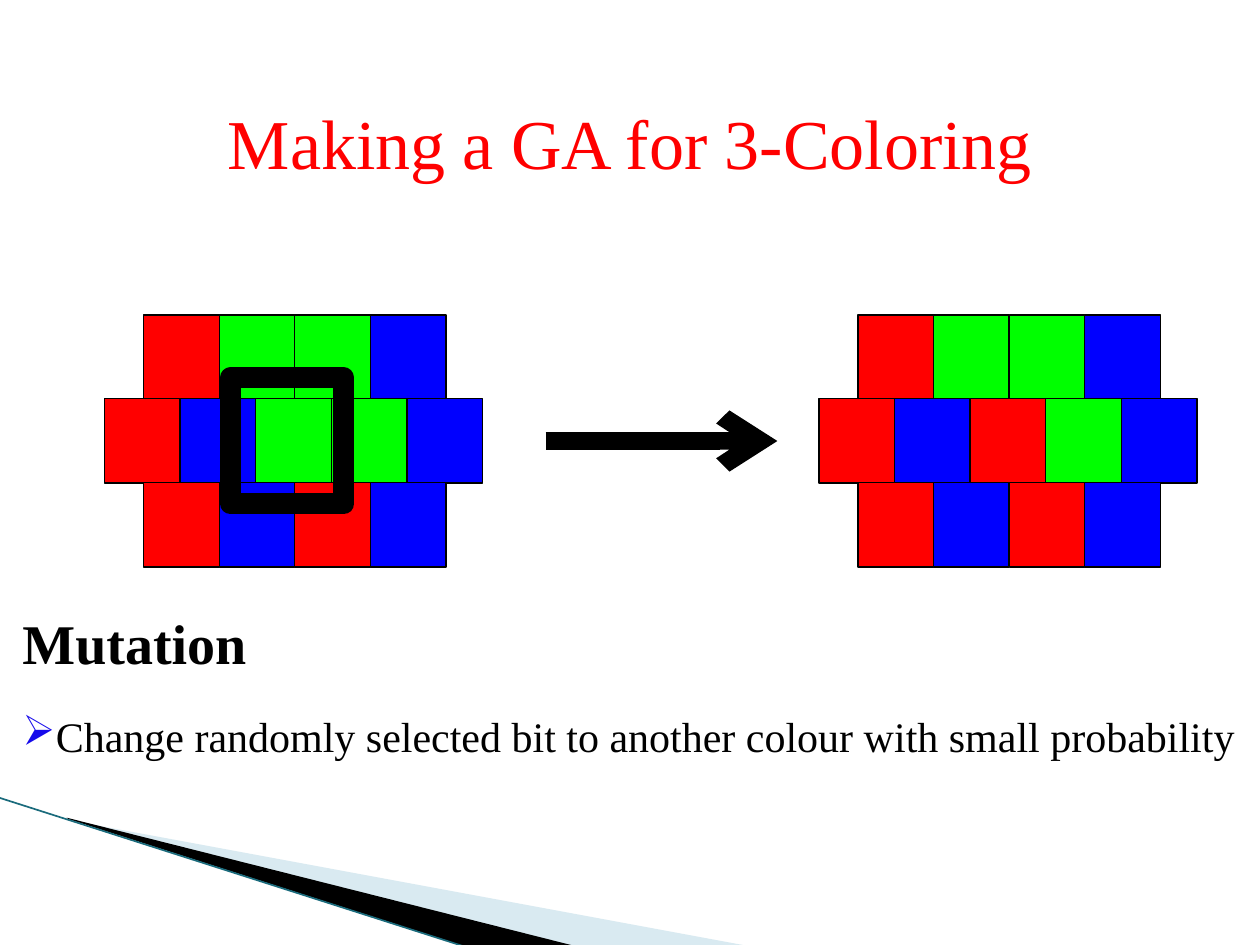
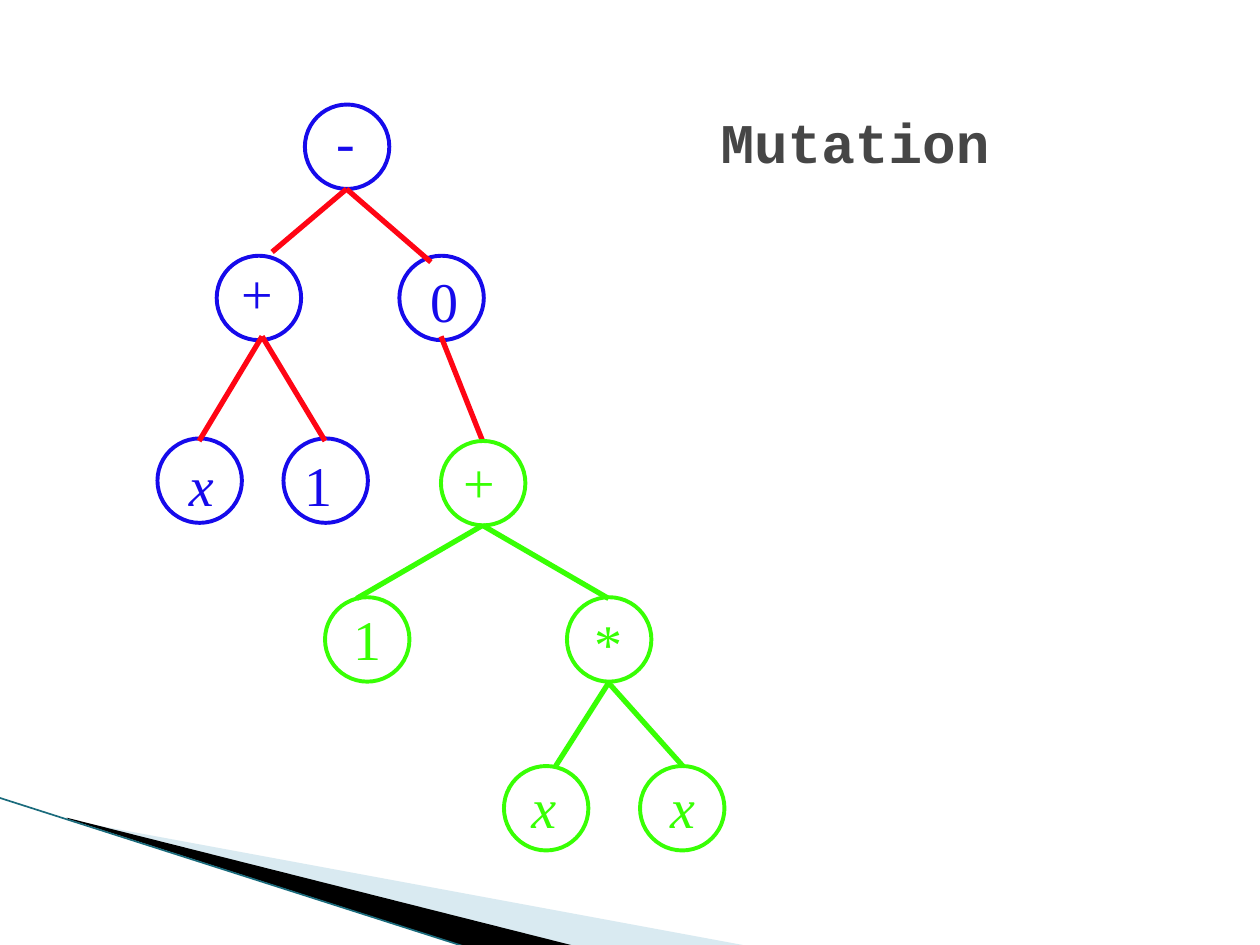
import pptx
import pptx.util
import pptx.dml.color
import pptx.enum.shapes
import pptx.enum.text
import pptx.oxml
import pptx.oxml.ns

Inches = pptx.util.Inches
Pt = pptx.util.Pt
SHAPE = pptx.enum.shapes.MSO_SHAPE
ANCHOR = pptx.enum.text.MSO_ANCHOR
ALIGN = pptx.enum.text.PP_ALIGN

SERIF, MONO = "Times New Roman", "Courier New"
BLACK, GREY, TITLE_RED = "000000", "464646", "FF0000"
PALE_BLUE, TEAL = "A0CBDC", "1A6B7C"
NODE_BLUE, NODE_GREEN, BRANCH_RED = "160AEB", "38FF04", "FF0514"
CELL_COLOURS = {"R": "FF0000", "G": "00FF00", "B": "0000FF"}

CELL_WIDTH, CELL_HEIGHT, ROW_PITCH = 0.6, 0.67, 0.665
ROW_INSET = 0.31
NODE_SIZE = 0.67
LABEL_WIDTHS = {"-": 0.35, "+": 0.45, "x": 0.4}  # digits and * take 0.42


def colour(value):
    return pptx.dml.color.RGBColor.from_string(value)


def add_xml(parent, tag, inner="", **attributes):
    listed = " ".join(f'{name}="{value}"' for name, value in attributes.items())
    space = pptx.oxml.ns.nsdecls("a")
    parent.append(pptx.oxml.parse_xml(
        f"<a:{tag} {space} {listed}>{inner}</a:{tag}>"))


def paint(shape, fill=None, line=None, weight=0.75):
    shape.shadow.inherit = False
    if fill:
        shape.fill.solid()
        shape.fill.fore_color.rgb = colour(fill)
    else:
        shape.fill.background()
    if line:
        shape.line.color.rgb = colour(line)
        shape.line.width = Pt(weight)
    else:
        shape.line.fill.background()


def add_preset(shapes, kind, left, top, width, height, **style):
    shape = shapes.add_shape(kind, Inches(left), Inches(top),
                             Inches(width), Inches(height))
    paint(shape, **style)


def add_polygon(shapes, points, fill):
    corners = [(Inches(x), Inches(y)) for x, y in points]
    builder = shapes.build_freeform(*corners[0])
    builder.add_line_segments(corners[1:])
    shape = builder.convert_to_shape()
    paint(shape, fill)
    return shape


def add_line(shapes, start, end, line, weight):
    connector = shapes.add_connector(
        pptx.enum.shapes.MSO_CONNECTOR.STRAIGHT,
        *(Inches(value) for value in (*start, *end)))
    connector.line.color.rgb = colour(line)
    connector.line.width = Pt(weight)
    add_xml(connector._element.spPr, "effectLst")
    return connector


def add_box(shapes, left, top, width, height, anchor=ANCHOR.TOP, wrap=True):
    box = shapes.add_textbox(Inches(left), Inches(top),
                             Inches(width), Inches(height))
    box.text_frame.word_wrap = wrap
    box.text_frame.vertical_anchor = anchor
    return box.text_frame


def write(para, text, rgb, **format_values):
    span = para.add_run()
    span.text = text
    for name, value in ({"name": SERIF, "size": Pt(32)} | format_values).items():
        setattr(span.font, name, value)
    span.font.color.rgb = colour(rgb)


def add_page(deck):
    """Blank page with the swoosh at the lower left."""
    page = deck.slides.add_slide(deck.slide_layouts[6])
    band = add_polygon(page.shapes, [(0.55, 6.51), (5.95, 7.51), (4.56, 7.51),
                                     (0.55, 6.5)], PALE_BLUE)
    shade = band._element.spPr.find(".//" + pptx.oxml.ns.qn("a:srgbClr"))
    add_xml(shade, "alpha", val=40000)
    add_polygon(page.shapes, [(0.53, 6.49), (4.57, 7.51), (3.72, 7.52),
                              (0.54, 6.5)], BLACK)
    add_line(page.shapes, (-0.01, 6.33), (3.71, 7.52), TEAL, 0.95)
    return page.shapes


def add_colouring(shapes, left, top, rows):
    """Brick pattern of coloured cells; the shorter rows are inset."""
    group = shapes.add_group_shape().shapes
    longest = max(map(len, rows))
    for row, letters in enumerate(rows):
        inset = ROW_INSET if len(letters) < longest else 0
        for column, letter in enumerate(letters):
            add_preset(group, SHAPE.RECTANGLE, left + inset + column * CELL_WIDTH,
                       top + row * ROW_PITCH, CELL_WIDTH, CELL_HEIGHT,
                       fill=CELL_COLOURS[letter], line=BLACK)
    return group


def add_tree(shapes, nodes, branches, node_colour, branch_colour):
    """Nodes are (label, circle corner, label corner)."""
    group = shapes.add_group_shape().shapes
    for label, circle, corner in nodes:
        frame = add_box(group, *corner, LABEL_WIDTHS.get(label, 0.42), 0.64,
                        wrap=False)
        write(frame.paragraphs[0], label, node_colour, italic=label == "x")
        add_preset(group, SHAPE.OVAL, *circle, NODE_SIZE, NODE_SIZE,
                   line=node_colour, weight=2.25)
    for start, *ends in branches:
        for end in ends:
            add_line(group, start, end, branch_colour, 3)


def build_colouring_page(deck):
    shapes = add_page(deck)

    # Colouring before and after the mutation
    add_colouring(shapes, 6.5, 2.5, ["RGGB", "RBRGB", "RBRB"])
    arrow = add_line(shapes, (4.33, 3.5), (6.17, 3.5), BLACK, 10)
    add_xml(arrow.line._get_or_add_ln(), "tailEnd", type="arrow")
    before = add_colouring(shapes, 0.83, 2.5, ["RGGB", "RBGGB", "RBRB"])
    add_preset(before, SHAPE.RECTANGLE, 1.83, 3, 0.9, 1, line=BLACK, weight=12)

    # Title
    title = add_box(shapes, 0, 0.5, 10, 1.25, ANCHOR.MIDDLE).paragraphs[0]
    title.alignment = ALIGN.CENTER
    write(title, "Making a GA for 3-Coloring", TITLE_RED, size=Pt(40))

    # Explanation
    frame = add_box(shapes, 0.08, 4.78, 9.92, 1.33)
    heading = frame.paragraphs[0]
    heading.space_before = Pt(25)
    write(heading, "Mutation", BLACK, bold=True)
    point = frame.add_paragraph()
    point.space_before = Pt(20)
    marks = point._p.get_or_add_pPr()
    add_xml(marks, "buClr", f'<a:srgbClr val="{NODE_BLUE}"/>')
    add_xml(marks, "buChar", char="\u27a2")
    write(point, "Change randomly selected bit to another colour "
          "with small probability", BLACK, size=Pt(24))


def build_tree_page(deck):
    shapes = add_page(deck)

    # Title
    title = add_box(shapes, 5.62, 0.8, 3.48, 0.64, ANCHOR.MIDDLE)
    write(title.paragraphs[0], "Mutation", GREY, name=MONO, bold=True)

    # Kept part of the tree
    add_tree(shapes, [
        ("-", (2.42, 0.83), (2.57, 0.8)),
        ("+", (1.72, 2.03), (1.82, 2)),
        ("0", (3.17, 2.03), (3.32, 2.07)),
        ("x", (1.25, 3.48), (1.4, 3.53)),
        ("1", (2.25, 3.48), (2.32, 3.53)),
    ], [
        ((2.75, 1.5), (2.16, 2), (3.42, 2.08)),
        ((2.08, 2.67), (1.58, 3.5), (2.58, 3.5)),
        ((3.5, 2.67), (3.83, 3.5)),
    ], NODE_BLUE, BRANCH_RED)

    # Mutated subtree
    add_tree(shapes, [
        ("+", (3.5, 3.5), (3.58, 3.5)),
        ("1", (2.58, 4.74), (2.71, 4.75)),
        ("*", (4.5, 4.74), (4.62, 4.78)),
        ("x", (4, 6.08), (4.12, 6.08)),
        ("x", (5.08, 6.08), (5.22, 6.08)),
    ], [
        ((3.83, 4.17), (2.83, 4.75), (4.83, 4.75)),
        ((4.83, 5.42), (4.41, 6.08), (5.42, 6.08)),
    ], NODE_GREEN, NODE_GREEN)


def main():
    deck = pptx.Presentation()
    deck.slide_width, deck.slide_height = Inches(10), Inches(7.5)
    build_colouring_page(deck)
    build_tree_page(deck)
    deck.save("out.pptx")


main()
